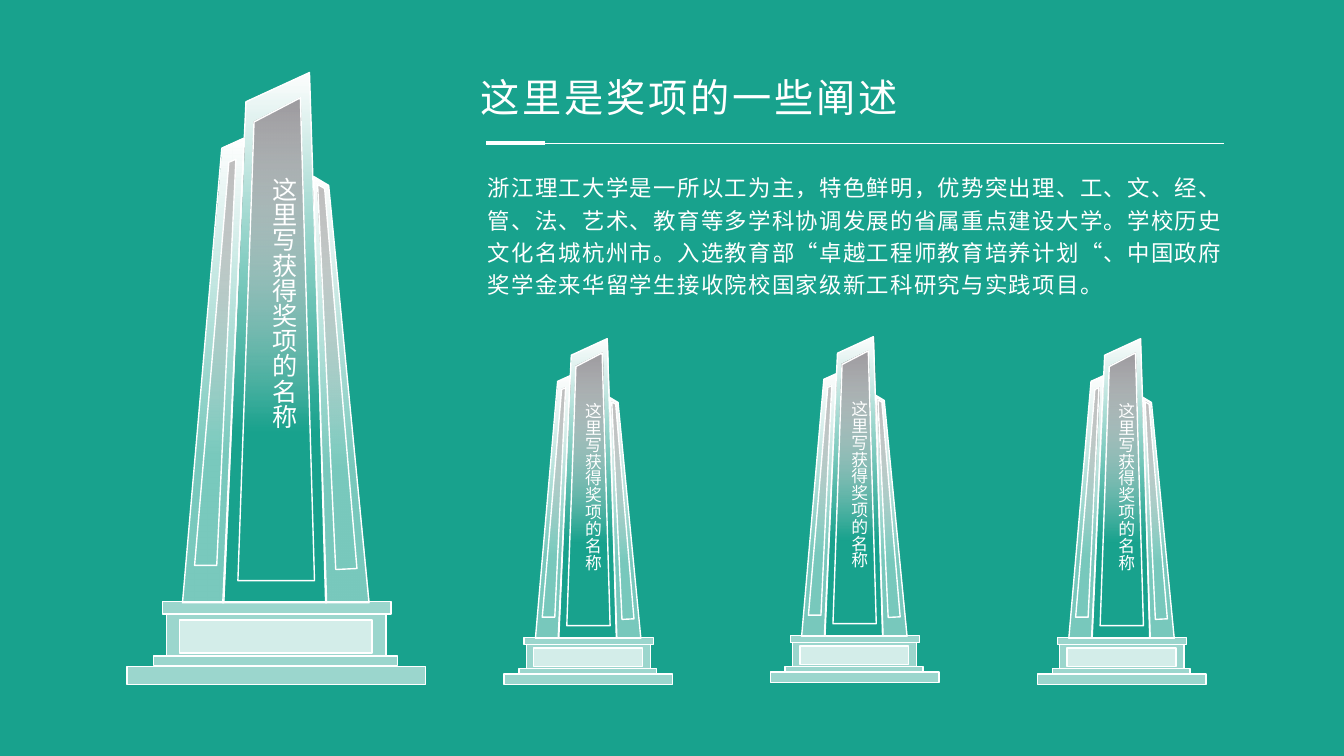
from lxml import etree
from pptx import Presentation
from pptx.dml.color import RGBColor
from pptx.enum.shapes import MSO_CONNECTOR, MSO_SHAPE
from pptx.enum.text import MSO_ANCHOR, MSO_AUTO_SIZE, PP_ALIGN
from pptx.oxml.ns import qn
from pptx.util import Pt

PX = 9144  # 100 px to the inch
WHITE = "FFFFFF"
FONT = "Noto Sans CJK SC"
RECT = MSO_SHAPE.RECTANGLE
STRAIGHT = MSO_CONNECTOR.STRAIGHT
LEFT, JUSTIFY = PP_ALIGN.LEFT, PP_ALIGN.JUSTIFY
TOP = MSO_ANCHOR.TOP
GROW = MSO_AUTO_SIZE.SHAPE_TO_FIT_TEXT
rgb = RGBColor.from_string


def paint(shape, low, high, alpha):
    """Fill from low (bottom, alpha percent opaque) to high, or solid if high is None."""
    fill = shape.fill
    if high:
        fill.gradient()
        fill.gradient_angle = 90
        for stop, spot, tone in zip(fill.gradient_stops, (0.32, 1), (low, high)):
            stop.position = spot
            stop.color.rgb = rgb(tone)
    else:
        fill.solid()
        fill.fore_color.rgb = rgb(low)
    tint = next(shape._element.spPr.iter(qn("a:srgbClr")))
    etree.SubElement(tint, qn("a:alpha")).set("val", str(alpha * 1000))
    shape.line.color.rgb = rgb(WHITE)
    shape.line.width = Pt(1)
    shape.shadow.inherit = False


def write(box, text, size, face, align, gap=0):
    frame = box.text_frame
    for name, value in {"word_wrap": True, "auto_size": GROW,
                        "vertical_anchor": TOP}.items():
        setattr(frame, name, value)
    par = frame.paragraphs[0]
    par.alignment = align
    run = par.add_run()
    run.text = text
    for name, value in {"size": Pt(size), "name": face, "bold": False}.items():
        setattr(run.font, name, value)
    run.font.color.rgb = rgb(WHITE)
    props = run._r.get_or_add_rPr()
    props.set("spc", str(gap * 100))
    etree.SubElement(props, qn("a:ea")).set("typeface", FONT)
    return frame


prs = Presentation()
prs.slide_width, prs.slide_height = 1333 * PX, 750 * PX
slide = prs.slides.add_slide(prs.slide_layouts[5])
shapes = slide.shapes
slide.background.fill.solid()
slide.background.fill.fore_color.rgb = rgb("18A28D")

title = shapes.title
title.left, title.top, title.width, title.height = [n * PX for n in (467, 68, 536, 57)]
write(title, "这里是奖项的一些阐述", 28, FONT, LEFT, 2)

# Trophy parts, measured from the trophy's top left corner
panes = [
    ([(118, 29), (181, 0), (198, 526), (95, 526)], WHITE, WHITE, 0),
    ([(185, 103), (200, 112), (240, 526), (197, 526)], WHITE, WHITE, 42),
    ([(126, 49), (172, 25), (186, 504), (110, 504)], "BEBDBF", "9D9B9F", 0),
    ([(189, 111), (196, 115), (228, 492), (207, 493)], "A6A6A6", "BFBFBF", 0),
    ([(94, 75), (116, 65), (96, 526), (55, 526)], WHITE, WHITE, 42),
    ([(101, 89), (108, 86), (89, 489), (67, 489)], "A6A6A6", "BFBFBF", 0),
]
slabs = [
    (39, 537, 218, 42),
    (35, 525, 227, 12),
    (26, 579, 242, 9),
    (0, 589, 296, 18),
    (52, 543, 191, 33),
]
big, small = (121, 94, 55, 372), (63, 54, 40, 210)
trophies = [
    (126, 72, 1, big, 18),
    (500, 336, 0.565, small, 12),
    (764, 334, 0.565, small, 12),
    (1029, 336, 0.565, small, 12),
]

for left, top, scale, label, size in trophies:
    for points, low, high, alpha in panes:
        spots = [(round((left + x * scale) * PX), round((top + y * scale) * PX))
                 for x, y in points]
        path = shapes.build_freeform(*spots[0])
        path.add_line_segments(spots[1:], close=True)
        paint(path.convert_to_shape(), low, high, alpha)
    for x, y, w, h in slabs:
        slab = shapes.add_shape(RECT, *[round(n * PX) for n in (
            left + x * scale, top + y * scale, w * scale, h * scale)])
        paint(slab, WHITE, None, 57)
    x, y, w, h = label
    box = shapes.add_textbox(*[n * PX for n in (left + x, top + y, w, h)])
    frame = write(box, "这里写获得奖项的名称", size, FONT, JUSTIFY)
    frame._txBody.bodyPr.set("vert", "eaVert")

body = shapes.add_textbox(*[n * PX for n in (474, 163, 755, 137)])
frame = write(
    body,
    "浙江理工大学是一所以工为主，特色鲜明，优势突出理、工、文、经、"
    "管、法、艺术、教育等多学科协调发展的省属重点建设大学。学校历史"
    "文化名城杭州市。入选教育部“卓越工程师教育培养计划“、中国政府"
    "奖学金来华留学生接收院校国家级新工科研究与实践项目。",
    16, "Arial", LEFT, 1)
frame.paragraphs[0].line_spacing = 1.2

for start, end, width in ((1214, 513, 0.5), (541, 482, 3)):
    rule = shapes.add_connector(STRAIGHT, start * PX, 142 * PX, end * PX, 142 * PX)
    rule.line.color.rgb = rgb(WHITE)
    rule.line.width = Pt(width)
    etree.SubElement(rule._element.spPr, qn("a:effectLst"))

prs.save("out.pptx")
